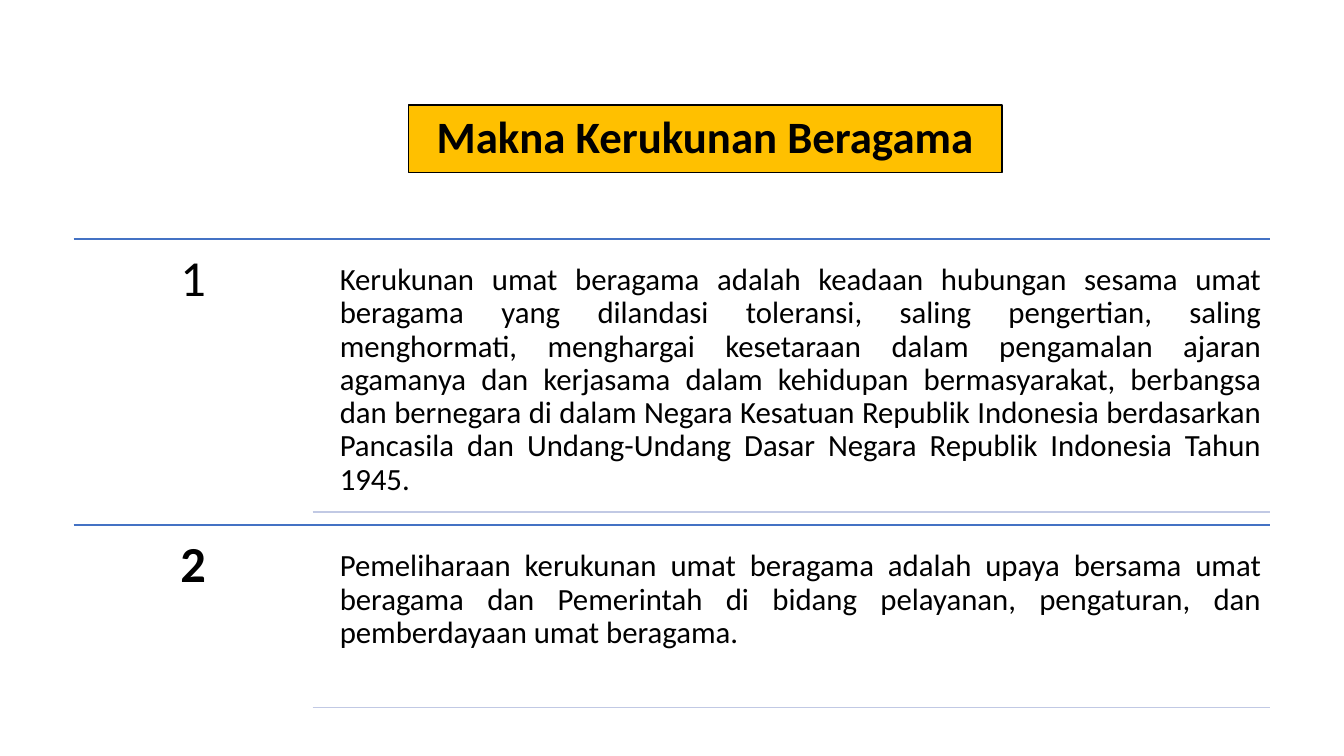
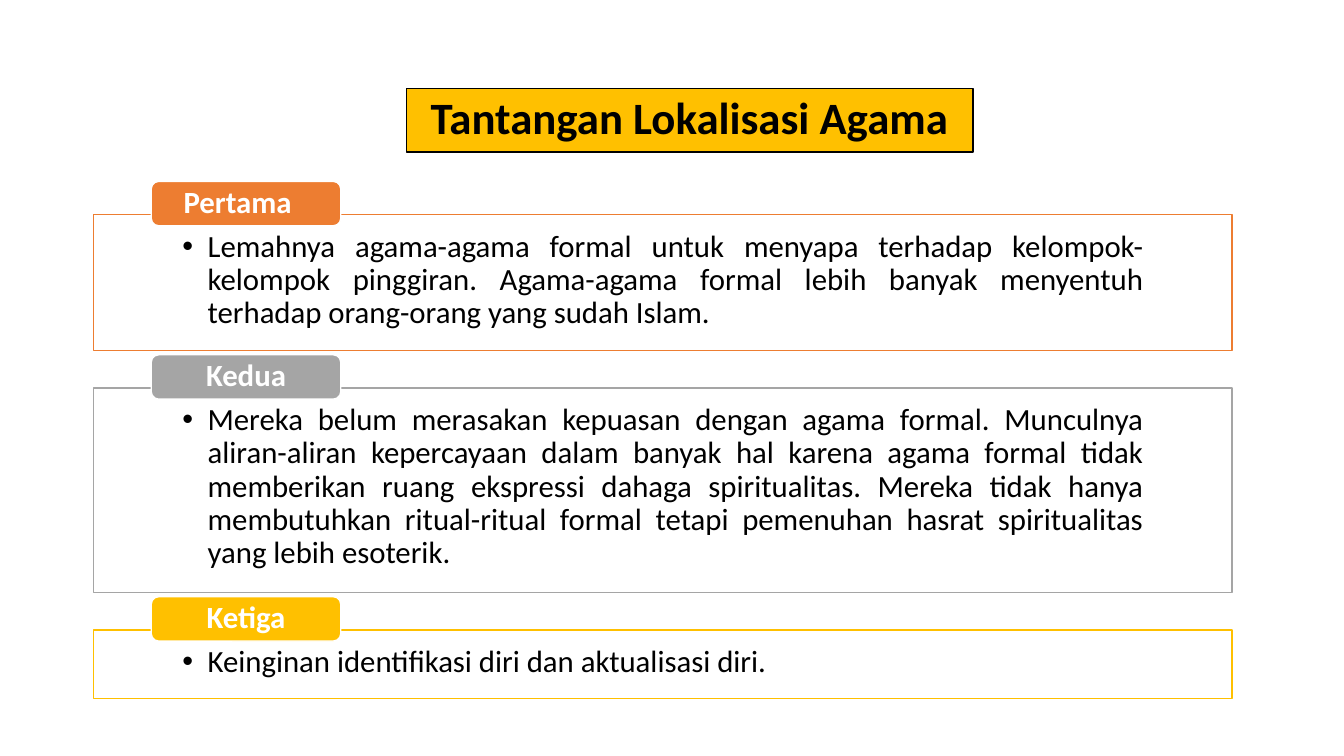
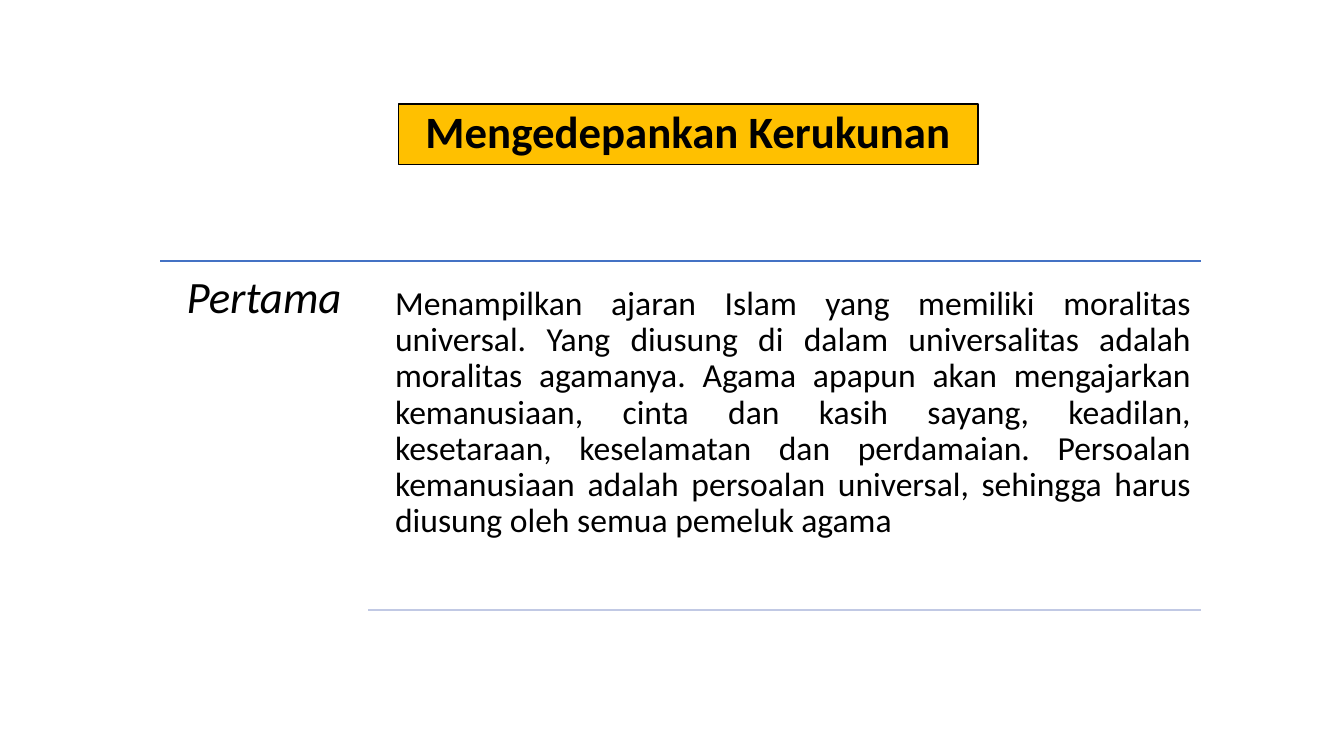
from lxml import etree
from pptx import Presentation
from pptx.dml.color import RGBColor
from pptx.enum.shapes import MSO_CONNECTOR, MSO_SHAPE
from pptx.enum.text import MSO_ANCHOR, MSO_AUTO_SIZE, PP_ALIGN
from pptx.oxml.ns import qn
from pptx.util import Inches, Pt

RECT, ROUND = MSO_SHAPE.RECTANGLE, MSO_SHAPE.ROUNDED_RECTANGLE
STRAIGHT = MSO_CONNECTOR.STRAIGHT
TOP, MIDDLE = MSO_ANCHOR.TOP, MSO_ANCHOR.MIDDLE
LEFT, CENTER, JUSTIFY = PP_ALIGN.LEFT, PP_ALIGN.CENTER, PP_ALIGN.JUSTIFY
NO_FIT = MSO_AUTO_SIZE.NONE

BLACK = RGBColor(0x00, 0x00, 0x00)
WHITE = RGBColor(0xFF, 0xFF, 0xFF)
GOLD = RGBColor(0xFF, 0xC0, 0x00)
ORANGE = RGBColor(0xED, 0x7D, 0x31)
GRAY = RGBColor(0xA5, 0xA5, 0xA5)
BLUE = RGBColor(0x44, 0x72, 0xC4)
PALE_BLUE = RGBColor(0xC1, 0xC9, 0xE4)


class Deck:
    """Hold the shared style and the slide being built."""

    font = "Calibri"

    def __init__(self):
        self.prs = Presentation()
        self.prs.slide_width = Inches(13.33)
        self.prs.slide_height = Inches(7.5)
        self.s = None

    def slide(self, title, left, top, width, height):
        """Add a slide with its title in a gold band."""
        self.s = self.prs.slides.add_slide(self.prs.slide_layouts[5])
        sp = self.s.shapes.title
        sp.left, sp.top = Inches(left), Inches(top)
        sp.width, sp.height = Inches(width), Inches(height)
        self.paint(sp, GOLD, BLACK)
        self.fill_text(sp, title, 32, CENTER, MIDDLE, (0.1, 0.05), bold=True)

    def paint(self, sp, fill, line):
        """Give a shape a solid fill and a thin outline."""
        sp.fill.solid()
        sp.fill.fore_color.rgb = fill
        sp.line.color.rgb = line
        sp.line.width = Pt(1)

    def fill_text(self, sp, text, size, align, anchor, insets,
                  color=BLACK, bold=False, italic=False):
        """Put one formatted paragraph into a shape and return it."""
        tf = sp.text_frame
        tf.text = text
        tf.word_wrap = True
        tf.auto_size = NO_FIT
        tf.vertical_anchor = anchor
        tf.margin_left = tf.margin_right = Inches(insets[0])
        tf.margin_top = tf.margin_bottom = Inches(insets[1])
        p = tf.paragraphs[0]
        p.alignment = align
        p.line_spacing = 0.9
        font = p.runs[0].font
        font.name, font.size = self.font, Pt(size)
        font.bold, font.italic = bold, italic
        font.color.rgb = color
        return p

    def shape(self, kind, left, top, width, height, fill, line):
        """Add a filled and outlined shape."""
        sp = self.s.shapes.add_shape(kind, Inches(left), Inches(top),
                                     Inches(width), Inches(height))
        sp.shadow.inherit = False
        self.paint(sp, fill, line)
        return sp

    def text(self, text, left, top, width, height, size, align, inset, **style):
        """Add a text box with equal insets on all sides."""
        sp = self.s.shapes.add_textbox(Inches(left), Inches(top),
                                       Inches(width), Inches(height))
        self.fill_text(sp, text, size, align, TOP, (inset, inset), **style)

    def rule(self, left, right, y, color):
        """Draw a horizontal line."""
        c = self.s.shapes.add_connector(STRAIGHT, Inches(left), Inches(y),
                                        Inches(right), Inches(y))
        c.line.color.rgb = color
        c.line.width = Pt(1)
        etree.SubElement(c._element.spPr, qn("a:effectLst"))

    def row(self, label, text, left, split, right, top, bottom,
            label_size, size, gap, inset, **label_style):
        """Add a label and its text between two rules."""
        self.rule(left, right, top, BLUE)
        self.text(label, left, top, split - left, 1.12, label_size, CENTER,
                  0.14, **label_style)
        self.text(text, split + gap, top + gap - 0.02, right - split - gap,
                  bottom - top - gap, size, JUSTIFY, inset)
        self.rule(split, right, bottom, PALE_BLUE)

    def panel(self, label, text, top, height, color, align, label_align):
        """Add an outlined panel with a bullet and a tab on its top edge."""
        sp = self.shape(RECT, 0.93, top, 11.29, height, WHITE, color)
        p = self.fill_text(sp, text, 22, align, TOP, (0.88, 0.16))
        pPr = p._p.get_or_add_pPr()
        pPr.set("marL", str(Inches(0.25)))
        pPr.set("indent", str(-Inches(0.25)))
        etree.SubElement(pPr, qn("a:buFont"), typeface="Arial")
        etree.SubElement(pPr, qn("a:buChar"), char="•")
        tab = self.shape(ROUND, 1.5, top - 0.33, 1.88, 0.44, color, WHITE)
        self.fill_text(tab, label, 22, label_align, MIDDLE, (0.3, 0),
                       color=WHITE, bold=True)


def main():
    """Build the three slides."""
    deck = Deck()

    deck.slide("Makna Kerukunan Beragama", 4.05, 1.04, 5.89, 0.67)
    meanings = [
        ("1", 2.37, 5.08, False,
         "Kerukunan umat beragama adalah keadaan hubungan sesama umat beragama "
         "yang dilandasi toleransi, saling pengertian, saling menghormati, "
         "menghargai kesetaraan dalam pengamalan ajaran agamanya dan kerjasama "
         "dalam kehidupan bermasyarakat, berbangsa dan bernegara di dalam Negara "
         "Kesatuan Republik Indonesia berdasarkan Pancasila dan Undang-Undang "
         "Dasar Negara Republik Indonesia Tahun 1945."),
        ("2", 5.21, 7.02, True,
         "Pemeliharaan kerukunan umat beragama adalah upaya bersama umat "
         "beragama dan Pemerintah di bidang pelayanan, pengaturan, dan "
         "pemberdayaan umat beragama."),
    ]
    for number, top, bottom, bold, text in meanings:
        deck.row(number, text, 0.73, 3.1, 12.6, top, bottom, 36, 22, 0.18, 0.09,
                 bold=bold)

    deck.slide("Tantangan Lokalisasi Agama", 4.03, 0.88, 5.62, 0.63)
    challenges = [
        ("Pertama", 1.35, ORANGE, JUSTIFY, LEFT,
         "Lemahnya agama-agama formal untuk menyapa terhadap kelompok-kelompok "
         "pinggiran. Agama-agama formal lebih banyak menyentuh terhadap "
         "orang-orang yang sudah Islam."),
        ("Kedua", 2.03, GRAY, JUSTIFY, CENTER,
         "Mereka belum merasakan kepuasan dengan agama formal. Munculnya "
         "aliran-aliran kepercayaan dalam banyak hal karena agama formal tidak "
         "memberikan ruang ekspressi dahaga spiritualitas. Mereka tidak hanya "
         "membutuhkan ritual-ritual formal tetapi pemenuhan hasrat spiritualitas "
         "yang lebih esoterik."),
        ("Ketiga", 0.68, GOLD, LEFT, CENTER,
         "Keinginan identifikasi diri dan aktualisasi diri."),
    ]
    top = 2.13
    for label, height, color, align, label_align, text in challenges:
        deck.panel(label, text, top, height, color, align, label_align)
        top += height + 0.37

    deck.slide("Mengedepankan Kerukunan", 3.95, 1.03, 5.75, 0.6)
    deck.row("Pertama",
             "Menampilkan ajaran Islam yang memiliki moralitas universal. Yang "
             "diusung di dalam universalitas adalah moralitas agamanya. Agama "
             "apapun akan mengajarkan kemanusiaan, cinta dan kasih sayang, "
             "keadilan, kesetaraan, keselamatan dan perdamaian. Persoalan "
             "kemanusiaan adalah persoalan universal, sehingga harus diusung "
             "oleh semua pemeluk agama",
             1.59, 3.65, 11.91, 2.59, 6.05, 32, 24, 0.17, 0.1, italic=True)

    deck.prs.save("out.pptx")


if __name__ == "__main__":
    main()
